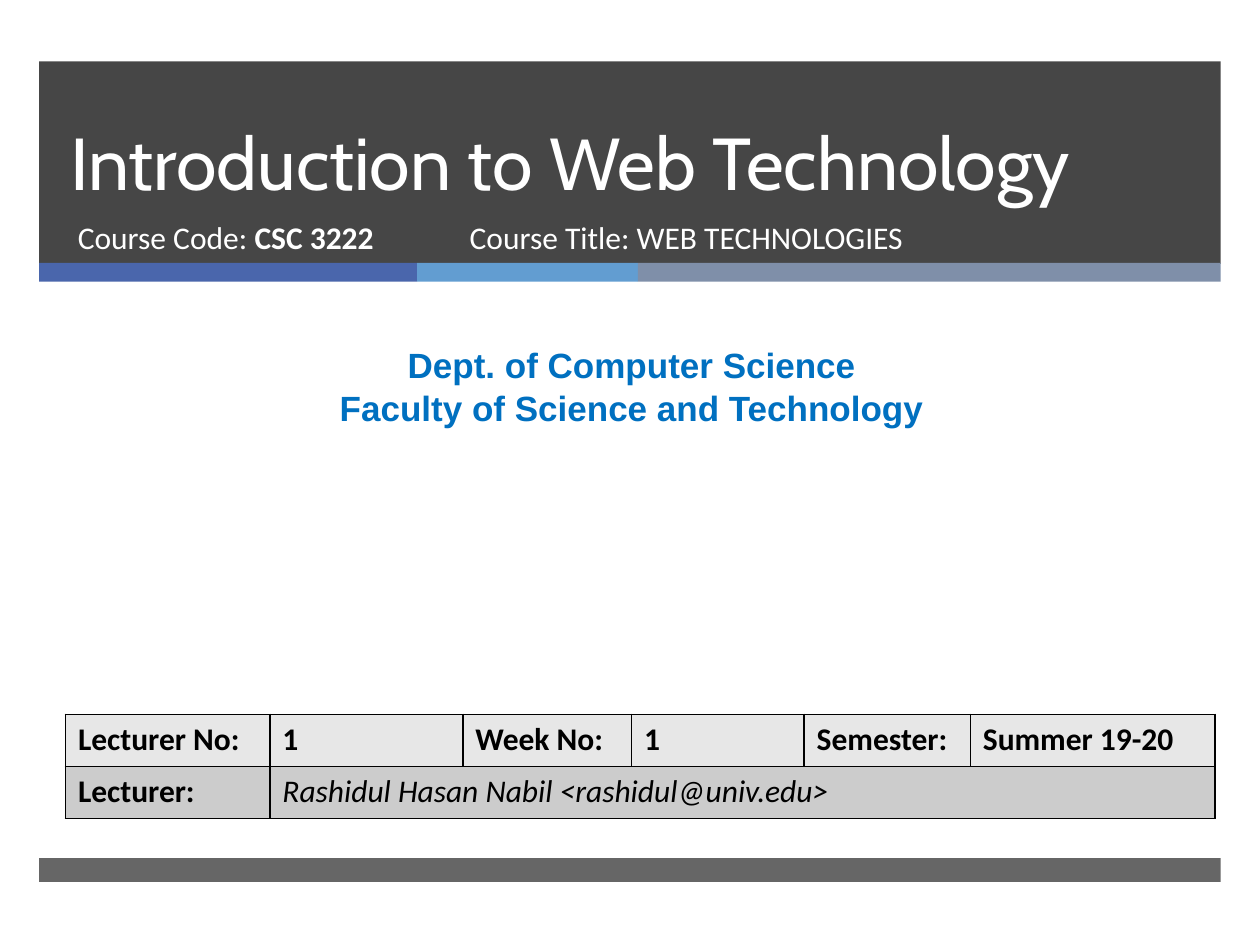
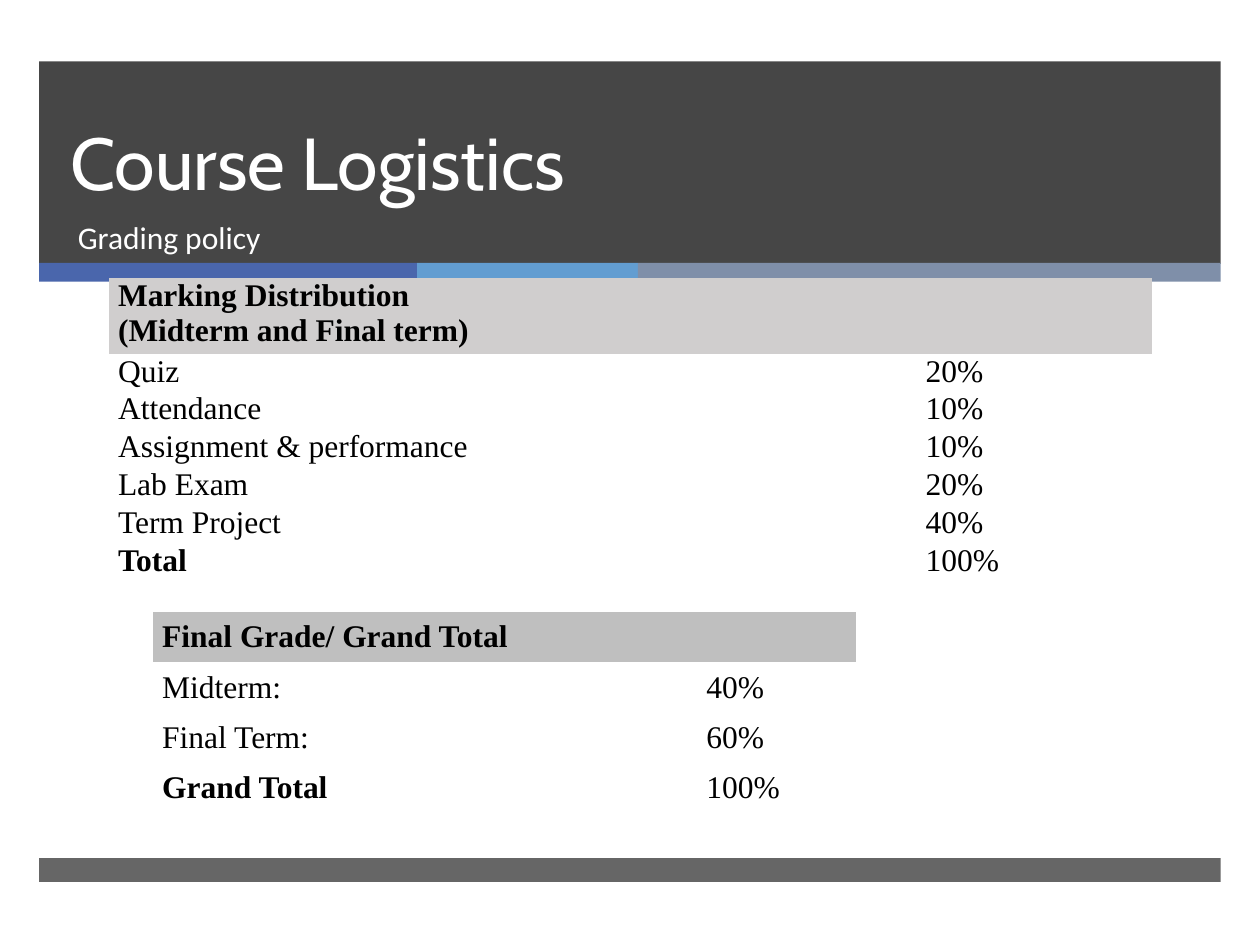
"""Build two course slides: an introduction and the grading policy."""
from lxml.etree import SubElement
from pptx import Presentation
from pptx.dml.color import RGBColor
from pptx.enum.shapes import MSO_SHAPE
from pptx.enum.text import MSO_ANCHOR, PP_ALIGN
from pptx.oxml.ns import qn
from pptx.util import Cm, Pt

DARK = RGBColor(0x26, 0x26, 0x26)
WHITE = RGBColor(0xFF, 0xFF, 0xFF)
BLACK = RGBColor(0, 0, 0)
BLUE = RGBColor(0x00, 0x70, 0xC0)
PALE = RGBColor(0xE7, 0xE7, 0xE7)
GREY = RGBColor(0xCC, 0xCC, 0xCC)
WARM = RGBColor(0xD0, 0xCE, 0xCE)
ASH = RGBColor(0xBF, 0xBF, 0xBF)
STRIPES = [
    (7.62, RGBColor(0x4A, 0x66, 0xAC)),
    (4.45, RGBColor(0x62, 0x9D, 0xD1)),
    (11.75, RGBColor(0x7F, 0x8F, 0xA9)),
]
LEFT, WIDE = 0.79, 23.82
PLAIN = "{2D5ABB26-0587-4C30-8999-92F81FD0307C}"

DEPT = ["Dept. of Computer Science", "Faculty of Science and Technology"]
LECTURE = [
    ["Lecturer No:", "1", "Week No:", "1", "Semester:", "Summer 19-20"],
    ["Lecturer:", "Rashidul Hasan Nabil <rashidul@univ.edu>"],
]
MARKS = [
    ["Marking Distribution\n(Midterm and Final term)"],
    ["Quiz", "20%"],
    ["Attendance", "10%"],
    ["Assignment & performance", "10%"],
    ["Lab Exam", "20%"],
    ["Term Project", "40%"],
    ["Total", "100%"],
]
GRADES = [
    ["Final Grade/ Grand Total"],
    ["Midterm:", "40%"],
    ["Final Term:", "60%"],
    ["Grand Total", "100%"],
]


def add_bar(slide, left, top, width, height, color, alpha=100):
    bar = slide.shapes.add_shape(
        MSO_SHAPE.RECTANGLE, Cm(left), Cm(top), Cm(width), Cm(height))
    bar.shadow.inherit = False
    bar.fill.solid()
    bar.fill.fore_color.rgb = color
    bar.line.fill.background()
    if alpha < 100:
        tone = bar.fill._xPr.find(qn("a:solidFill"))[0]
        SubElement(tone, qn("a:alpha"), val=str(alpha * 1000))


def style(para, name, size, color, bold=False, italic=False, align=PP_ALIGN.LEFT):
    font = para.font
    font.name, font.size, font.bold, font.italic = name, Pt(size), bold, italic
    font.color.rgb = color
    para.alignment = align


def add_text(slide, lines, box, name="Calibri", size=18, color=WHITE, **look):
    frame = slide.shapes.add_textbox(*map(Cm, box)).text_frame
    frame.word_wrap = True
    frame.text = "\n".join(lines)
    for para in frame.paragraphs:
        style(para, name, size, color, **look)
    return frame


def add_slide(deck, title):
    slide = deck.slides.add_slide(deck.slide_layouts[6])
    add_bar(slide, LEFT, 1.24, WIDE, 4.08, DARK, 85)
    left = LEFT
    for width, color in STRIPES:
        add_bar(slide, left, 5.3, width, 0.38, color)
        left += width
    add_bar(slide, LEFT, 17.3, WIDE, 0.48, DARK, 70)
    frame = add_text(slide, [title], (1.17, 1.24, 21.69, 3.02), "Cabin", 42)
    frame.vertical_anchor = MSO_ANCHOR.BOTTOM
    frame.paragraphs[0].line_spacing = Pt(46)
    return slide


def add_table(slide, rows, left, top, cols, tall):
    frame = slide.shapes.add_table(
        len(rows), len(cols), Cm(left), Cm(top), Cm(sum(cols)), Cm(sum(tall)))
    table = frame.table
    table.first_row = table.horz_banding = False
    table._tbl.tblPr.find(qn("a:tableStyleId")).text = PLAIN
    for col, width in zip(table.columns, cols):
        col.width = Cm(width)
    for r, (row, height) in enumerate(zip(rows, tall)):
        table.rows[r].height = Cm(height)
        for c, text in enumerate(row):
            table.cell(r, c).text = text
        if len(row) < len(cols):
            table.cell(r, len(row) - 1).merge(table.cell(r, len(cols) - 1))
    return table


def paint(cell, color):
    cell.fill.solid()
    cell.fill.fore_color.rgb = color


def add_edges(cell):
    props = cell._tc.get_or_add_tcPr()
    for side in ("lnL", "lnR", "lnT", "lnB"):
        line = SubElement(props, qn(f"a:{side}"), w=str(Pt(1)))
        fill = SubElement(line, qn("a:solidFill"))
        SubElement(fill, qn("a:srgbClr"), val=str(BLACK))


def add_lecture(slide):
    cols = [4.12, 3.89, 3.4, 3.48, 3.35, 4.93]
    table = add_table(slide, LECTURE, 1.32, 14.4, cols, [1.05, 1.05])
    for r, color in enumerate((PALE, GREY)):
        for c in range(len(cols)):
            cell = table.cell(r, c)
            add_edges(cell)
            paint(cell, color)
            name = r == 1 and c == 1
            style(cell.text_frame.paragraphs[0], "Calibri", 18, BLACK,
                  bold=not name, italic=name)


def add_scores(slide, rows, left, top, cols, tall, color, anchor):
    table = add_table(slide, rows, left, top, cols, tall)
    last = len(rows) - 1
    for r in range(len(rows)):
        for c in range(len(cols)):
            cell = table.cell(r, c)
            cell.margin_left = cell.margin_right = Cm(0.19)
            cell.margin_top = cell.margin_bottom = 0
            cell.vertical_anchor = anchor
            if r == 0:
                paint(cell, color)
            for para in cell.text_frame.paragraphs:
                style(para, "Times New Roman", 18, BLACK,
                      bold=c == 0 and r in (0, last), align=PP_ALIGN.JUSTIFY)


def main():
    deck = Presentation()
    deck.slide_width, deck.slide_height = Cm(25.4), Cm(19.05)

    intro = add_slide(deck, "Introduction to Web Technology")
    code = add_text(intro, ["Course Code: "], (1.32, 4.27, 7.75, 1.35))
    run = code.paragraphs[0].add_run()
    run.text = "CSC 3222"
    run.font.bold = True
    add_text(intro, DEPT, (0.2, 6.81, 25.07, 1.96), "Arial", 20, BLUE,
             bold=True, align=PP_ALIGN.CENTER)
    add_lecture(intro)
    add_text(intro, ["Course Title: WEB TECHNOLOGIES"], (9.22, 4.27, 11.56, 1.35))

    policy = add_slide(deck, "Course Logistics")
    add_text(policy, ["Grading policy"], (1.32, 4.27, 21.54, 1.35))
    add_scores(policy, MARKS, 2.19, 5.61, [16.28, 4.75],
               [1.32] + [0.66] * 6, WARM, MSO_ANCHOR.TOP)
    add_scores(policy, GRADES, 3.08, 12.34, [10.97, 3.2],
               [1.01] * 4, ASH, MSO_ANCHOR.MIDDLE)

    deck.save("out.pptx")


if __name__ == "__main__":
    main()
